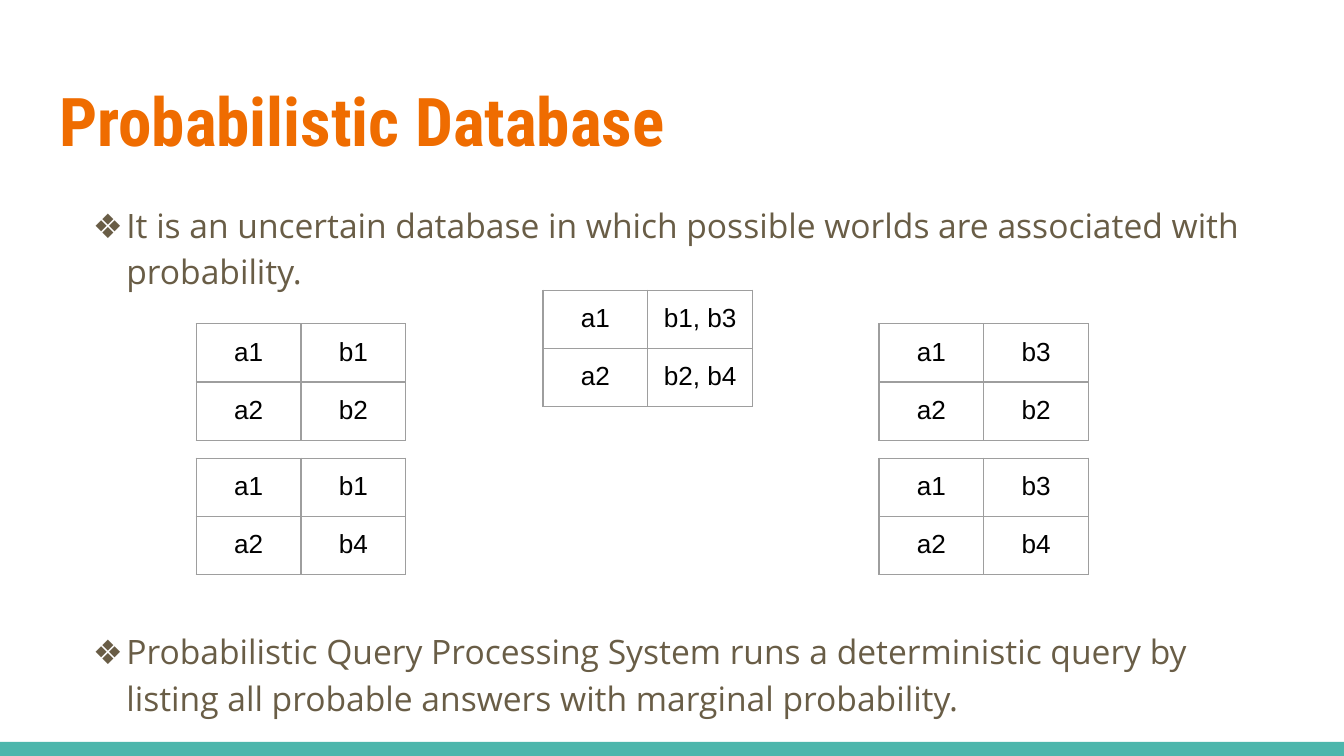
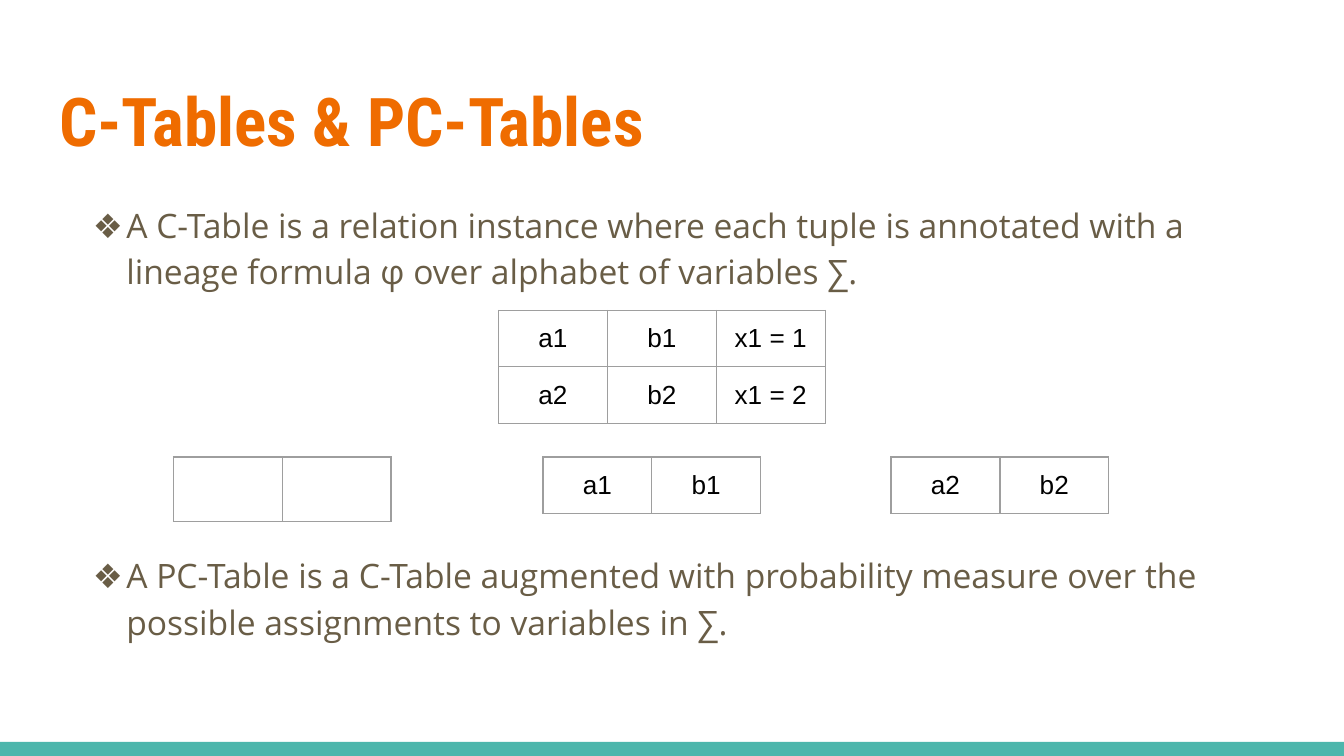
import dataclasses

import lxml.etree
import pptx
import pptx.dml.color
import pptx.enum.shapes
import pptx.enum.text
import pptx.oxml.ns
import pptx.util


@dataclasses.dataclass(frozen=True)
class Theme:
    """Colours, type and line sizes shared by the slides."""

    background: str = "FFFFFF"
    band: str = "4DB6AC"
    grid: str = "9E9E9E"
    grid_width: float = 0.75
    line_spacing: float = 1.15
    paragraph_gap: float = 16
    table_row_gap: float = 40.7
    title: tuple = ("Roboto Condensed", 36, "EF6C00", True)
    body: tuple = ("Open Sans", 18, "695D46", False)
    cell: tuple = ("Arial", 14, "000000", False)


@dataclasses.dataclass(frozen=True)
class Box:
    """A region measured in grid units."""

    left: float
    top: float
    width: float
    height: float


THEME = Theme()
COLUMNS, ROWS = 100, 56.25
UNIT = pptx.util.Inches(10) / COLUMNS
INSET = 1
TITLE = Box(3.4, 4.9, 93.2, 7.7)
BAND = Box(0, 55.2, COLUMNS, 1.1)

WORLD_LEFTS, WORLD_TOPS = (14.6, 65.4), (24.1, 34.1)
WORLD_CELL = (7.8, 4.33)
CONDITION_CELL = (8.1, 4.2)

SLIDES = [
    {
        "title": "Probabilistic Database",
        "body": Box(3.4, 13.8, 93.2, 39.3),
        "gap_rows": 4,
        "points": [
            "It is an uncertain database in which possible worlds are associated with probability.",
            "Probabilistic Query Processing System runs a deterministic query by "
            "listing all probable answers with marginal probability.",
        ],
        "cell": WORLD_CELL,
        "relations": [(40.4, 21.6, [["a1", "b1, b3"], ["a2", "b2, b4"]])] + [
            (left, top, [["a1", first], ["a2", second]])
            for left, first in zip(WORLD_LEFTS, ("b1", "b3"))
            for top, second in zip(WORLD_TOPS, ("b2", "b4"))
        ],
    },
    {
        "title": "C-Tables & PC-Tables",
        "body": Box(3.4, 13.8, 93.2, 36.1),
        "gap_rows": 3,
        "points": [
            "A C-Table is a relation instance where each tuple is annotated with a "
            "lineage formula φ over alphabet of variables ∑.",
            "A PC-Table is a C-Table augmented with probability measure over the "
            "possible assignments to variables in ∑.",
        ],
        "cell": CONDITION_CELL,
        "relations": [
            (37.1, 23.1, [["a1", "b1", "x1 = 1"], ["a2", "b2", "x1 = 2"]]),
            (40.4, 34, [["a1", "b1"]]),
            (66.3, 34, [["a2", "b2"]]),
            (12.9, 34, [["", ""]]),
        ],
    },
]


def units(count):
    """Convert grid units to a length."""
    return pptx.util.Emu(round(count * UNIT))


def extent(box):
    """Return a box as left, top, width and height lengths."""
    return [units(count) for count in dataclasses.astuple(box)]


def rgb(value):
    """Return a colour from its hex value."""
    return pptx.dml.color.RGBColor.from_string(value)


def apply(target, formats):
    """Set each format value on the target."""
    for name, value in formats.items():
        setattr(target, name, value)


def child(parent, tag, **attributes):
    """Append a drawing element to its parent."""
    return lxml.etree.SubElement(parent, pptx.oxml.ns.qn(f"a:{tag}"), **attributes)


def style(font, kind):
    """Give a font one of the theme's type styles."""
    name, size, colour, bold = kind
    apply(font, {"name": name, "size": pptx.util.Pt(size), "bold": bold})
    font.color.rgb = rgb(colour)


def margins():
    """Return equal inner margins for text regions and cells."""
    return {f"margin_{side}": units(INSET) for side in ("left", "top", "right", "bottom")}


def place_text(region, box):
    """Move a placeholder into its box and return its text frame."""
    apply(region, dict(zip(("left", "top", "width", "height"), extent(box))))
    frame = region.text_frame
    apply(frame, {
        "word_wrap": True,
        "auto_size": pptx.enum.text.MSO_AUTO_SIZE.NONE,
        "vertical_anchor": pptx.enum.text.MSO_ANCHOR.TOP,
        **margins(),
    })
    return frame


def add_title(slide, heading, box):
    """Fill the title placeholder."""
    line = place_text(slide.shapes.title, box).paragraphs[0]
    line.alignment = pptx.enum.text.PP_ALIGN.LEFT
    run = line.add_run()
    run.text = heading
    style(run.font, THEME.title)


def add_points(slide, points, gap_rows, box):
    """Fill the body with points, leaving room between them for tables."""
    frame = place_text(slide.placeholders[1], box)
    for index, point in enumerate(points):
        line = frame.add_paragraph() if index else frame.paragraphs[0]
        apply(line, {
            "alignment": pptx.enum.text.PP_ALIGN.LEFT,
            "line_spacing": THEME.line_spacing,
            "space_before": pptx.util.Pt(index * gap_rows * THEME.table_row_gap),
            "space_after": pptx.util.Pt(THEME.paragraph_gap),
        })
        run = line.add_run()
        run.text = point
        style(run.font, THEME.body)
        add_bullet(line)


def add_bullet(line):
    """Give a point its hanging diamond bullet."""
    properties = line._p.get_or_add_pPr()
    properties.set("marL", str(units(5)))
    properties.set("indent", str(units(-2.5)))
    child(child(properties, "buClr"), "srgbClr", val=THEME.body[2])
    child(properties, "buFont", typeface=THEME.body[0])
    child(properties, "buChar", char="❖")


def add_relation(slide, tuples, cell_size, left, top):
    """Draw a relation instance as a table of equal cells."""
    column, row = cell_size
    box = Box(left, top, column * len(tuples[0]), row * len(tuples))
    relation = slide.shapes.add_table(len(tuples), len(tuples[0]), *extent(box)).table
    apply(relation, {"first_row": False, "horz_banding": False})
    for row_index, values in enumerate(tuples):
        for column_index, value in enumerate(values):
            fill_cell(relation.cell(row_index, column_index), value)


def fill_cell(cell, value):
    """Write one value and draw the cell's borders."""
    apply(cell, margins())
    line = cell.text_frame.paragraphs[0]
    line.alignment = pptx.enum.text.PP_ALIGN.CENTER
    if value:
        run = line.add_run()
        run.text = value
        style(run.font, THEME.cell)
    else:
        ending = child(line._p, "endParaRPr", sz="1800")
        child(ending, "latin", typeface=THEME.cell[0])
    properties = cell._tc.get_or_add_tcPr()
    for side in "LRTB":
        border = child(properties, f"ln{side}", w=str(pptx.util.Pt(THEME.grid_width)))
        child(child(border, "solidFill"), "srgbClr", val=THEME.grid)
    cell.fill.background()


def add_band(deck, slide, box):
    """Draw the bottom band and hand it to the slide master."""
    band = slide.shapes.add_shape(pptx.enum.shapes.MSO_SHAPE.RECTANGLE, *extent(box))
    band.shadow.inherit = False
    band.fill.solid()
    band.fill.fore_color.rgb = rgb(THEME.band)
    band.line.fill.background()
    deck.slide_master.shapes._spTree.append(band._element)


def add_table_slide(deck, content):
    """Build a slide of points with relations between them."""
    slide = deck.slides.add_slide(deck.slide_layouts[1])
    add_title(slide, content["title"], TITLE)
    add_points(slide, content["points"], content["gap_rows"], content["body"])
    for left, top, tuples in content["relations"]:
        add_relation(slide, tuples, content["cell"], left, top)
    return slide


def main():
    """Build and save the deck."""
    deck = pptx.Presentation()
    apply(deck, {"slide_width": units(COLUMNS), "slide_height": units(ROWS)})
    backdrop = deck.slide_master.background.fill
    backdrop.solid()
    backdrop.fore_color.rgb = rgb(THEME.background)
    slides = [add_table_slide(deck, content) for content in SLIDES]
    add_band(deck, slides[0], BAND)
    deck.save("out.pptx")


if __name__ == "__main__":
    main()
